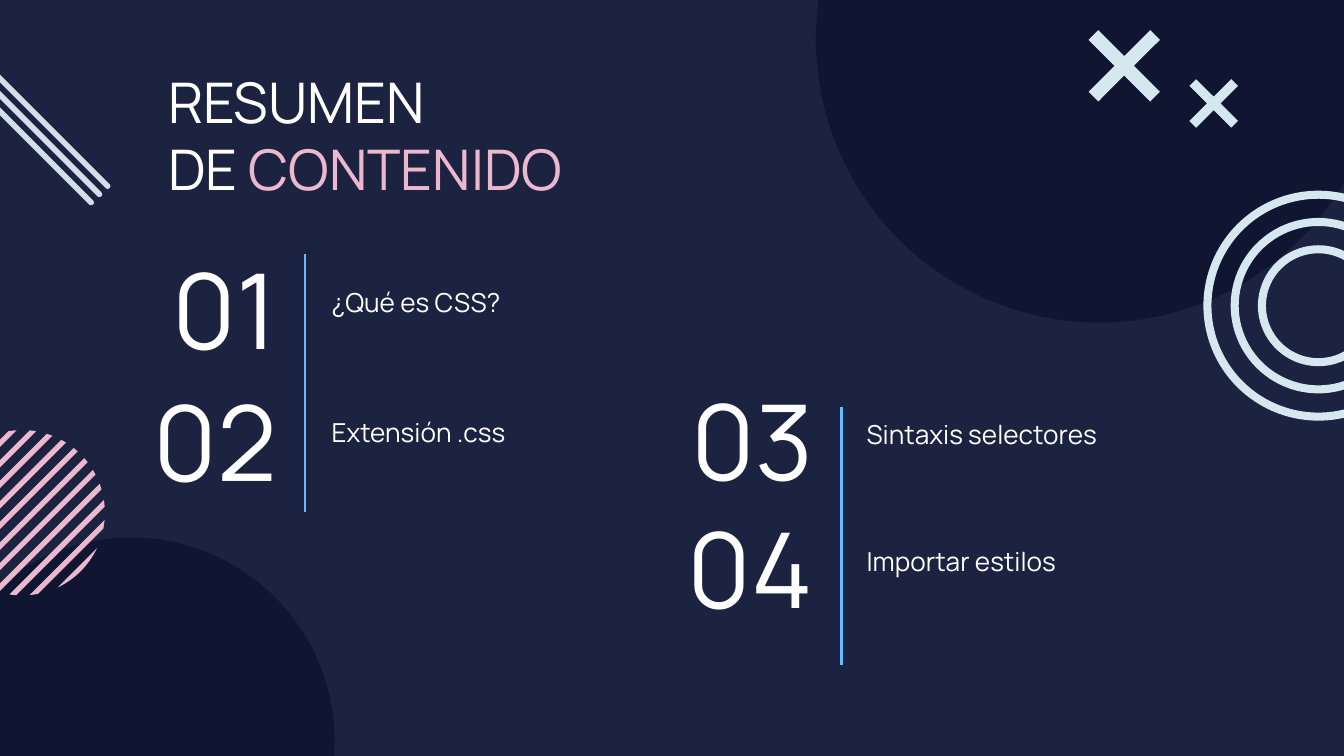
from dataclasses import dataclass
from math import acos, cos, radians, sin

from pptx import Presentation
from pptx.dml.color import RGBColor
from pptx.enum.shapes import MSO_CONNECTOR, MSO_SHAPE
from pptx.enum.text import MSO_ANCHOR, MSO_AUTO_SIZE, PP_ALIGN
from pptx.oxml.ns import qn
from pptx.util import Pt

OVAL, DONUT, ROUNDED = MSO_SHAPE.OVAL, MSO_SHAPE.DONUT, MSO_SHAPE.ROUNDED_RECTANGLE
STRAIGHT = MSO_CONNECTOR.STRAIGHT
TOP, MIDDLE = MSO_ANCHOR.TOP, MSO_ANCHOR.MIDDLE
LEFT, RIGHT = PP_ALIGN.LEFT, PP_ALIGN.RIGHT
TITLE_ONLY = 5


@dataclass(frozen=True)
class Theme:
    font: str = "Manrope"
    background: str = "1C2340"
    disc: str = "101632"
    white: str = "FFFFFF"
    pink: str = "ECB8CE"
    ice: str = "D7E7EF"
    mist: str = "D2DFE9"
    rule: str = "67BBFF"
    title_size: int = 30
    number_size: int = 56
    label_size: int = 14


THEME = Theme()


def rgb(value):
    return RGBColor.from_string(value)


def fill_plain(shape, color):
    shape.shadow.inherit = False
    shape.fill.solid()
    shape.fill.fore_color.rgb = rgb(color)
    shape.line.fill.background()


def place(shape, left, top, width, height):
    bounds = {"left": left, "top": top, "width": width, "height": height}
    for name, value in bounds.items():
        setattr(shape, name, Pt(value))


def write_text(box, lines, size, align=LEFT, anchor=TOP):
    """Fill a box; each line is a list of (text, color) spans."""
    frame = box.text_frame
    frame_format = {"word_wrap": True, "auto_size": MSO_AUTO_SIZE.NONE,
                    "vertical_anchor": anchor}
    for side in ("left", "top", "right", "bottom"):
        frame_format[f"margin_{side}"] = Pt(7.2)
    for name, value in frame_format.items():
        setattr(frame, name, value)
    for index, spans in enumerate(lines):
        para = frame.add_paragraph() if index else frame.paragraphs[0]
        para.alignment = align
        for text, color in spans:
            span = para.add_run()
            span.text = text
            for name, value in {"name": THEME.font, "size": Pt(size)}.items():
                setattr(span.font, name, value)
            span.font.color.rgb = rgb(color)


def add_label(page, bounds, text, size, **layout):
    box = page.shapes.add_textbox(*map(Pt, bounds))
    write_text(box, [[(text, THEME.white)]], size, **layout)


def add_preset(page, kind, center_x, center_y, width, height, color):
    shape = page.shapes.add_shape(
        kind, Pt(center_x - width / 2), Pt(center_y - height / 2), Pt(width), Pt(height))
    fill_plain(shape, color)
    return shape


def add_outline(page, points, color):
    corners = [(Pt(x), Pt(y)) for x, y in points]
    builder = page.shapes.build_freeform(*corners[0], scale=1.0)
    builder.add_line_segments(corners[1:], close=True)
    fill_plain(builder.convert_to_shape(), color)


def add_striped_disc(page, center_x, center_y, radius):
    """Diagonal stripes at an equal pitch, cut by a circle."""
    first, pitch, thickness, count, arc_steps = -36.15, 7.79, 2.8, 11, 8
    for stripe in range(count):
        near = first + stripe * pitch
        far = min(near + thickness, radius)
        start, end = acos(near / radius), acos(far / radius)
        arc = [start + (end - start) * step / arc_steps for step in range(arc_steps + 1)]
        angles = [-angle for angle in arc] + arc[::-1]
        points = [(center_x + radius * cos(radians(45) + angle),
                   center_y + radius * sin(radians(45) + angle)) for angle in angles]
        add_outline(page, points, THEME.pink)


def add_rings(page, center_x, center_y):
    band = 4.32
    for radius in (61.6, 47, 32.4):
        size = 2 * radius
        ring = add_preset(page, DONUT, center_x, center_y, size, size, THEME.ice)
        ring.adjustments[0] = band / size


def add_diagonal_bars(page, center_x, center_y):
    step = 4.4
    for index in range(3):
        bar = add_preset(page, ROUNDED, center_x - index * step,
                         center_y + index * step, 119, 3, THEME.mist)
        bar.adjustments[0] = 0.5
        bar.rotation = 45


def add_cross(page, center_x, center_y, half, notch):
    """One quarter of the cross, turned four times."""
    quarter = [(notch - half, -half), (-half, notch - half), (-notch, 0)]
    points = []
    for _ in range(4):
        points += [(center_x + x, center_y + y) for x, y in quarter]
        quarter = [(y, -x) for x, y in quarter]
    add_outline(page, points, THEME.ice)


def add_rule(page, x, top):
    rule = page.shapes.add_connector(STRAIGHT, Pt(x), Pt(top), Pt(x), Pt(top + 138.2))
    rule.line.color.rgb = rgb(THEME.rule)
    rule.line.width = Pt(1.5)
    properties = rule.line._get_or_add_ln().getparent()
    properties.append(properties.makeelement(qn("a:effectLst"), {}))


def add_topics(page, number_left, label_left, topics):
    for number, number_top, label, label_top in topics:
        add_label(page, (number_left, number_top, 104.4, 18.7), number,
                  THEME.number_size, align=RIGHT, anchor=MIDDLE)
        add_label(page, (label_left, label_top, 185, 31.7), label, THEME.label_size)


def main():
    deck = Presentation()
    deck.slide_width, deck.slide_height = Pt(720), Pt(405)
    page = deck.slides.add_slide(deck.slide_layouts[TITLE_ONLY])
    page.background.fill.solid()
    page.background.fill.fore_color.rgb = rgb(THEME.background)

    # Title
    title = page.shapes.title
    place(title, 82.8, 28.8, 291.6, 70.6)
    write_text(title, [[("RESUMEN", THEME.white)],
                       [("DE ", THEME.white), ("CONTENIDO", THEME.pink)]],
               THEME.title_size)

    # Decoration
    for center_x, center_y, size in ((70.2, 397.1, 218.2), (589, 20.9, 303.8)):
        add_preset(page, OVAL, center_x, center_y, size, size, THEME.disc)
    add_striped_disc(page, 11.9, 274.7, 44.3)
    add_rings(page, 706.3, 163.8)
    add_diagonal_bars(page, 16.6, 58.7)
    add_cross(page, 650.2, 55.4, 13, 3.6)
    add_cross(page, 602.3, 35.3, 19.1, 5.2)

    # Numbered topics in two columns
    add_topics(page, 51.1, 170.6, [("01", 155.5, "¿Qué es CSS?", 146.2),
                                   ("02", 226.1, "Extensión .css", 216)])
    add_topics(page, 338.4, 457.2, [("03", 225.4, "Sintaxis selectores", 216.7),
                                    ("04", 294.5, "Importar estilos", 285.1)])
    add_rule(page, 163.4, 136.1)
    add_rule(page, 450.7, 218.2)

    deck.save("out.pptx")


if __name__ == "__main__":
    main()
